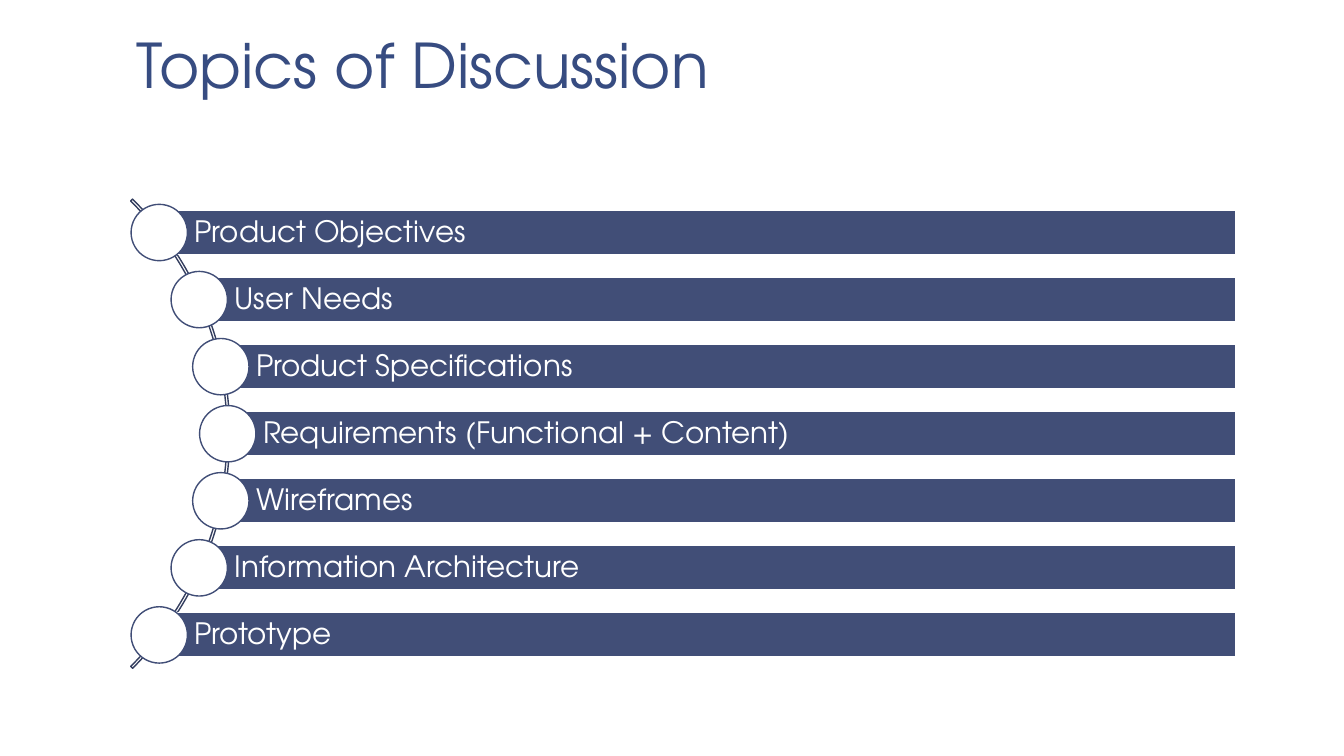
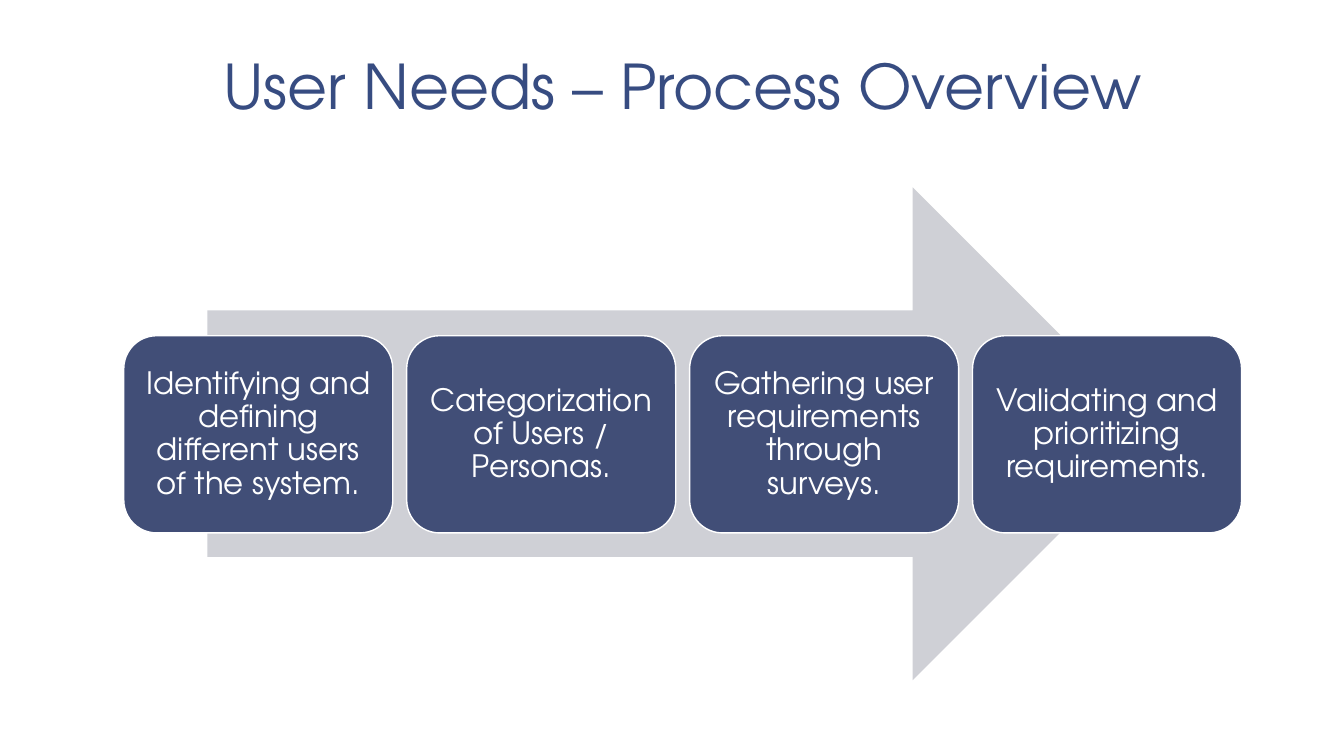
from math import sqrt

from pptx import Presentation
from pptx.dml.color import RGBColor
from pptx.enum.shapes import MSO_SHAPE as Shape
from pptx.enum.text import MSO_ANCHOR as Anchor, PP_ALIGN as Align
from pptx.util import Cm, Pt

COLORS = {
    "title": "374C81",
    "panel": "414E77",
    "arc": "343E5F",
    "arrow": "CFD0D6",
    "white": "FFFFFF",
}
FONT = "TeX Gyre Adventor"

TITLES = [
    # text, top, height, alignment
    ("Topics of Discussion", 0.2, 2.54, Align.LEFT),
    ("User Needs – Process Overview", 0.43, 2.82, Align.CENTER),
]
TOPICS = [
    "Product Objectives",
    "User Needs",
    "Product Specifications",
    "Requirements (Functional + Content)",
    "Wireframes",
    "Information Architecture",
    "Prototype",
]
STEPS = [
    "Identifying and defining different users of the system.",
    "Categorization of Users / Personas.",
    "Gathering user requirements through surveys.",
    "Validating and prioritizing requirements.",
]


def draw(page, kind, left, top, width, height, fill=None, line=None):
    """Add a flat preset shape, measured in cm; no colour means no fill or line."""
    shape = page.shapes.add_shape(kind, Cm(left), Cm(top), Cm(width), Cm(height))
    shape.shadow.inherit = False
    for part, color in ((shape.fill, fill), (shape.line.fill, line)):
        if color:
            part.solid()
            part.fore_color.rgb = RGBColor.from_string(COLORS[color])
        else:
            part.background()
    if line:
        shape.line.width = Pt(1)
    return shape


def write(box, text, size, color, align, anchor, margins, spacing=0.9):
    """Fill a box with one paragraph; margins are left, top, right, bottom in cm."""
    left, top, right, bottom = (Cm(margin) for margin in margins)
    frame_format = {
        "word_wrap": True,
        "vertical_anchor": anchor,
        "margin_left": left,
        "margin_top": top,
        "margin_right": right,
        "margin_bottom": bottom,
    }
    for name, value in frame_format.items():
        setattr(box.text_frame, name, value)
    para = box.text_frame.paragraphs[0]
    para.alignment = align
    para.line_spacing = spacing
    span = para.add_run()
    span.text = text
    for name, value in {"name": FONT, "size": Pt(size)}.items():
        setattr(span.font, name, value)
    span.font.color.rgb = RGBColor.from_string(COLORS[color])


deck = Presentation()
deck.slide_width, deck.slide_height = Cm(33.87), Cm(19.05)
blank = deck.slide_layouts[6]

pages = []
for text, top, height, align in TITLES:
    page = deck.slides.add_slide(blank)
    title = page.shapes.add_textbox(Cm(3.1), Cm(top), Cm(28.22), Cm(height))
    write(title, text, 44, "title", align, Anchor.BOTTOM,
          (0.33, 0.18, 0.33, 0.18), spacing=0.85)
    pages.append(page)
topics_page, process_page = pages

# Topics: the circles sit along an arc, and each bar starts at its circle's centre
arc_x, arc_y, arc_radius = -2.57, 10.93, 8.36
track_radius = 8.31
row_pitch, bar_height, bar_right, circle_size = 1.69, 1.12, 31.15, 1.42

arc = draw(topics_page, Shape.BLOCK_ARC, arc_x - arc_radius, arc_y - arc_radius,
           2 * arc_radius, 2 * arc_radius, line="arc")
for index, value in enumerate((189, 27, 0.004)):
    arc.adjustments[index] = value

for row, topic in enumerate(TOPICS):
    offset = (row - (len(TOPICS) - 1) / 2) * row_pitch
    center_x = arc_x + sqrt(track_radius ** 2 - offset ** 2)
    center_y = arc_y + offset
    bar = draw(topics_page, Shape.RECTANGLE, center_x, center_y - bar_height / 2,
               bar_right - center_x, bar_height, "panel", "white")
    write(bar, topic, 21, "white", Align.LEFT, Anchor.MIDDLE,
          (0.89, 0.15, 0.15, 0.15))
    draw(topics_page, Shape.OVAL, center_x - circle_size / 2,
         center_y - circle_size / 2, circle_size, circle_size, "white", "panel")

# Process: four cards in a row over a wide arrow
card_left, card_top, card_width, card_height, card_gap = 3.12, 8.46, 6.78, 4.97, 0.35

draw(process_page, Shape.RIGHT_ARROW, 5.23, 4.72, 23.98, 12.42, "arrow")
for column, step in enumerate(STEPS):
    card = draw(process_page, Shape.ROUNDED_RECTANGLE,
                card_left + column * (card_width + card_gap), card_top,
                card_width, card_height, "panel", "white")
    write(card, step, 22, "white", Align.CENTER, Anchor.MIDDLE, (0.23,) * 4)

deck.save("out.pptx")
